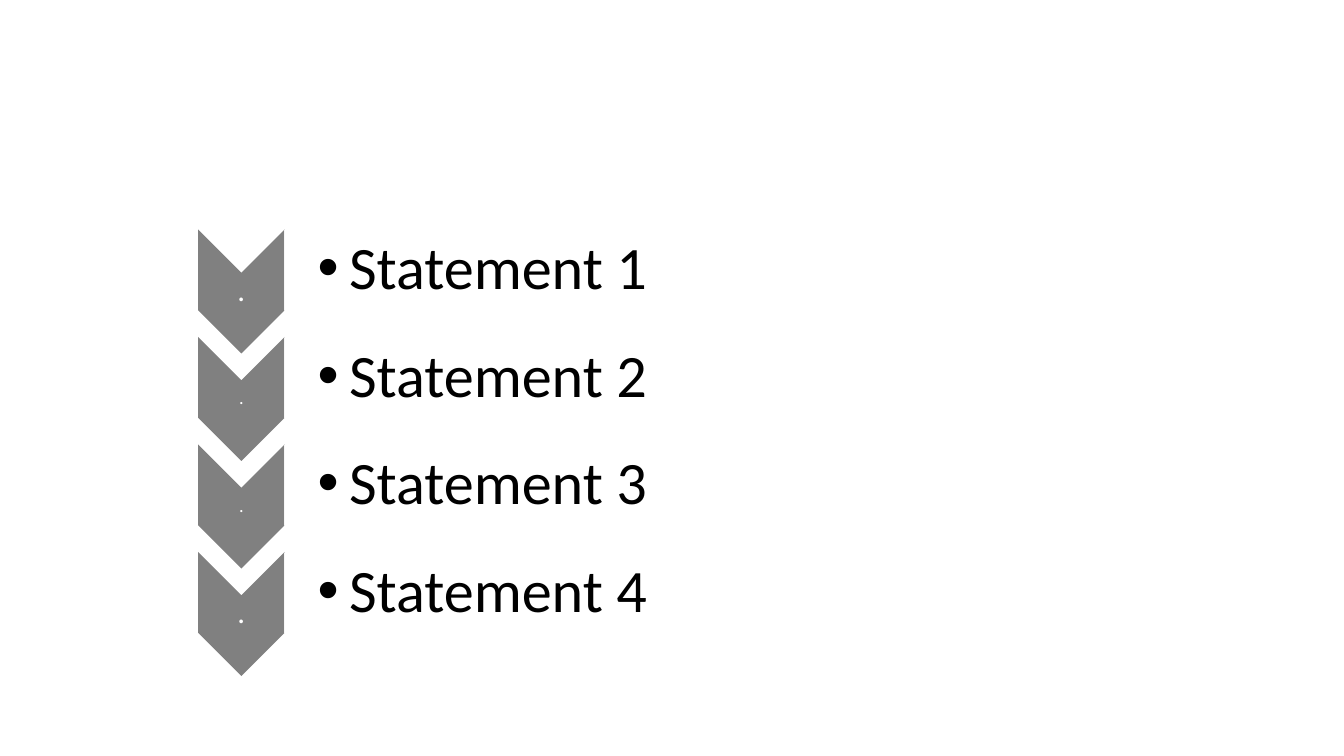
"""Build a slide with four statements beside a column of chevrons."""
from dataclasses import dataclass

from lxml.etree import SubElement
from pptx import Presentation
from pptx.dml.color import RGBColor
from pptx.enum.shapes import MSO_SHAPE
from pptx.enum.text import MSO_ANCHOR, PP_ALIGN
from pptx.oxml.ns import qn
from pptx.util import Pt

ROWS = [
    ("Statement 1", 22),
    ("Statement 2", 13),
    ("Statement 3", 13),
    ("Statement 4", 22),
]
PITCH = 76.8
MARK_X, MARK_Y = 172.4, 208.2
PANEL_X, PANEL_Y = 489.2, 193.1
LABEL_X = 487.8
INDENT = 22.5


@dataclass(frozen=True)
class Theme:
    """Hold the colours, font and type size."""
    mark: RGBColor = RGBColor(0x80, 0x80, 0x80)
    panel: RGBColor = RGBColor(0xFF, 0xFF, 0xFF)
    dot: RGBColor = RGBColor(0xFF, 0xFF, 0xFF)
    ink: RGBColor = RGBColor(0, 0, 0)
    font: str = "Calibri"
    size: int = 43


THEME = Theme()


def center(x, y, wide, high):
    """Return the box of a given size around a point."""
    return Pt(x - wide / 2), Pt(y - high / 2), Pt(wide), Pt(high)


def add_form(slide, kind, box, color):
    """Add a plain shape turned a quarter to the right."""
    form = slide.shapes.add_shape(kind, *box)
    form.rotation = 90
    form.shadow.inherit = False
    form.fill.solid()
    form.fill.fore_color.rgb = color
    form.line.fill.background()
    return form


def add_text(slide, box, text, size, color, left, inset):
    """Add a middle-anchored line of text and return its paragraph."""
    frame = slide.shapes.add_textbox(*box).text_frame
    frame.word_wrap = True
    frame.vertical_anchor = MSO_ANCHOR.MIDDLE
    frame.margin_left = Pt(left)
    frame.margin_right = frame.margin_top = frame.margin_bottom = Pt(inset)
    line = frame.paragraphs[0]
    line.line_spacing = 0.9
    run = line.add_run()
    run.text = text
    run.font.name = THEME.font
    run.font.size = Pt(size)
    run.font.color.rgb = color
    return line


def add_bullet(line):
    """Give a paragraph a bullet and a hanging indent."""
    line.level = 1
    props = line._p.get_or_add_pPr()
    props.set("marL", str(Pt(INDENT)))
    props.set("indent", str(-Pt(INDENT)))
    SubElement(props, qn("a:buFont"), typeface="Arial")
    SubElement(props, qn("a:buChar"), char="•")


def add_row(slide, text, size, shift):
    """Add a chevron with its dot, and a panel with its statement."""
    mark = center(MARK_X, MARK_Y + shift, 88.6, 61.9)
    add_form(slide, MSO_SHAPE.CHEVRON, mark, THEME.mark)
    dot = center(MARK_X, MARK_Y + shift, 61.9, 26.6)
    line = add_text(slide, dot, ".", size, THEME.dot, 1, 1)
    line.alignment = PP_ALIGN.CENTER

    box = center(PANEL_X, PANEL_Y + shift, 57.6, 572.4)
    panel = add_form(slide, MSO_SHAPE.ROUND_2_SAME_RECTANGLE, box, THEME.panel)
    tint = panel._element.spPr.find(qn("a:solidFill"))[0]
    SubElement(tint, qn("a:alpha"), val="90000")
    label = center(LABEL_X, PANEL_Y + shift, 569.5, 51.8)
    add_bullet(add_text(slide, label, text, THEME.size, THEME.ink, 23.8, 2))


def main():
    """Build and save the slide."""
    deck = Presentation()
    deck.slide_width, deck.slide_height = Pt(960), Pt(540)
    slide = deck.slides.add_slide(deck.slide_layouts[6])
    for step, (text, size) in enumerate(ROWS):
        add_row(slide, text, size, step * PITCH)
    deck.save("out.pptx")


if __name__ == "__main__":
    main()
